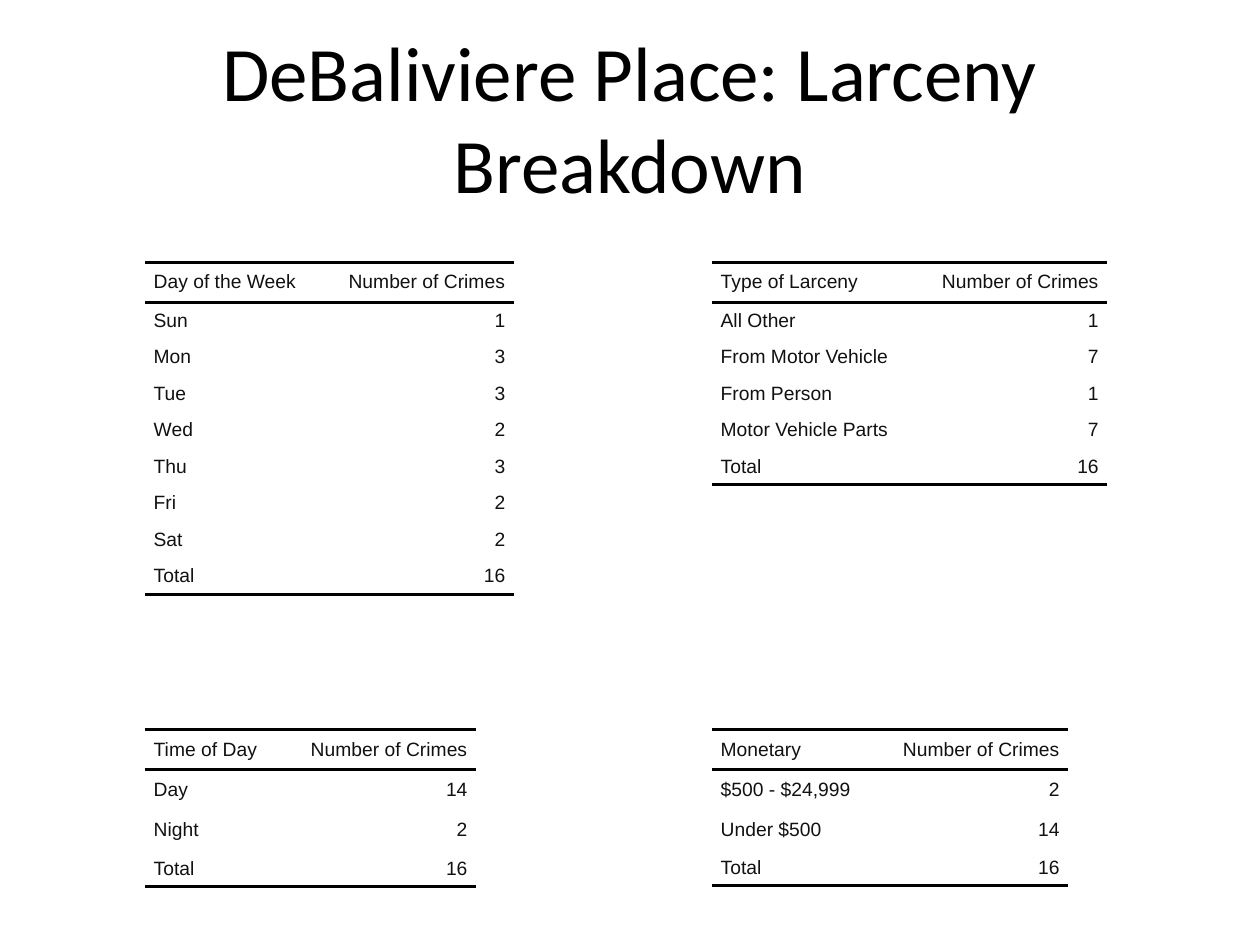
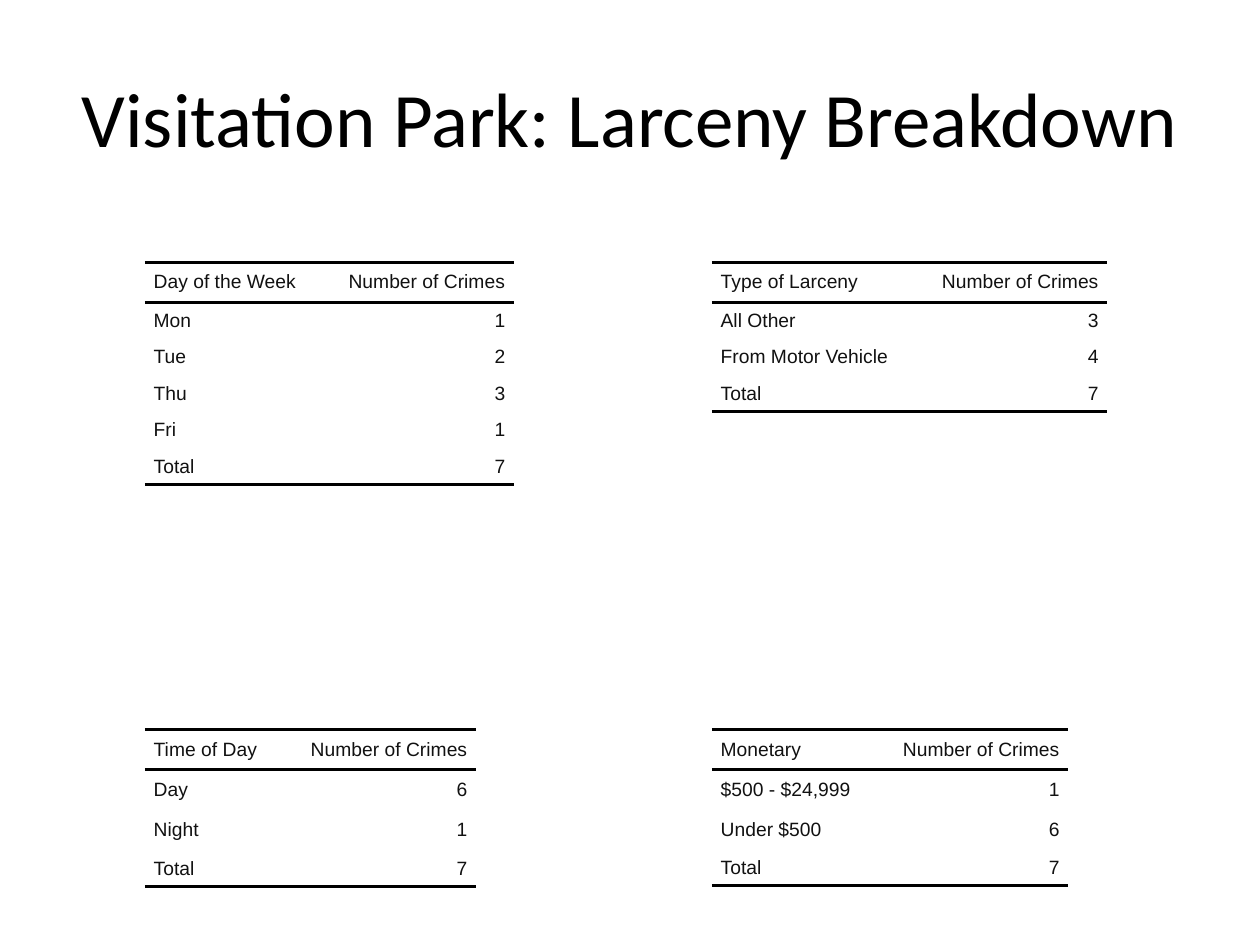
from pptx import Presentation
from pptx.dml.color import RGBColor
from pptx.enum.text import MSO_ANCHOR, MSO_AUTO_SIZE, PP_ALIGN
from pptx.oxml import parse_xml
from pptx.oxml.ns import nsdecls
from pptx.util import Inches, Pt

HUES = {"rule": "000000", "title": "000000", "text": "111111"}
WIDE, HIGH = Inches(10), Inches(7.5)
COLS, ROWS = 1000, 750
PLAIN = "{2D5ABB26-0587-4C30-8999-92F81FD0307C}"

HEAD = 32
LINE = 29
COUNT = 152
LEFT, RIGHT = 115, 565
UPPER, LOWER = 208, 579
TITLE = (50, 30, 900, 125)

FRAME = {"word_wrap": True, "auto_size": MSO_AUTO_SIZE.NONE,
         "vertical_anchor": MSO_ANCHOR.MIDDLE}
CELL = {"margin_left": Inches(0.07), "margin_right": Inches(0.07),
        "margin_top": 0, "margin_bottom": 0,
        "vertical_anchor": MSO_ANCHOR.MIDDLE}
BIG = {"name": "Calibri", "size": Pt(44)}
SMALL = {"name": "Arial", "size": Pt(11)}

PARTS = [
    ("Day of the Week", LEFT, UPPER, 141, None),
    ("Time of Day", LEFT, LOWER, 111, [32, 32]),
    ("Type of Larceny", RIGHT, UPPER, 162, None),
    ("Monetary", RIGHT, LOWER, 131, [32, 31]),
]

PAGES = {
    "DeBaliviere Place: Larceny Breakdown": {
        "Day of the Week": {"Sun": 1, "Mon": 3, "Tue": 3, "Wed": 2,
                            "Thu": 3, "Fri": 2, "Sat": 2},
        "Time of Day": {"Day": 14, "Night": 2},
        "Type of Larceny": {"All Other": 1, "From Motor Vehicle": 7,
                            "From Person": 1, "Motor Vehicle Parts": 7},
        "Monetary": {"$500 - $24,999": 2, "Under $500": 14},
    },
    "Visitation Park: Larceny Breakdown": {
        "Day of the Week": {"Mon": 1, "Tue": 2, "Thu": 3, "Fri": 1},
        "Time of Day": {"Day": 6, "Night": 1},
        "Type of Larceny": {"All Other": 3, "From Motor Vehicle": 4},
        "Monetary": {"$500 - $24,999": 1, "Under $500": 6},
    },
}


def across(n):
    return round(WIDE * n / COLS)


def down(n):
    return round(HIGH * n / ROWS)


def apply(item, looks):
    for key, value in looks.items():
        setattr(item, key, value)


def style(para, looks, hue, align):
    apply(para.font, looks)
    para.font.color.rgb = RGBColor.from_string(HUES[hue])
    para.alignment = align


def rule(cell, sides):
    props = cell._tc.get_or_add_tcPr()
    for spot, side in enumerate(sides):
        props.insert(spot, parse_xml(
            f'<a:ln{side} {nsdecls("a")} w="{Pt(2)}"><a:solidFill>'
            f'<a:srgbClr val="{HUES["rule"]}"/></a:solidFill></a:ln{side}>'))


def add_title(slide, text, box):
    shape = slide.shapes.title
    x, y, w, h = box
    apply(shape, {"left": across(x), "top": down(y),
                  "width": across(w), "height": down(h)})
    shape.text_frame.text = text
    apply(shape.text_frame, FRAME)
    style(shape.text_frame.paragraphs[0], BIG, "title", PP_ALIGN.CENTER)


def add_tally(slide, name, counts, x, y, label, inner):
    lines = [(name, "Number of Crimes"), *counts.items(),
             ("Total", sum(counts.values()))]
    widths = [label, COUNT]
    heights = [HEAD, *(inner or [LINE] * len(counts)), LINE]
    frame = slide.shapes.add_table(
        len(lines), 2, across(x), down(y),
        across(sum(widths)), down(sum(heights)))
    frame.element.xpath(".//a:tableStyleId")[0].text = PLAIN
    table = frame.table
    apply(table, {"first_row": False, "horz_banding": False})
    for col, width in zip(table.columns, widths):
        col.width = across(width)
    rules = {0: "TB", len(lines) - 1: "B"}
    for r, (line, height) in enumerate(zip(lines, heights)):
        table.rows[r].height = down(height)
        for c, (value, align) in enumerate(
                zip(line, (PP_ALIGN.LEFT, PP_ALIGN.RIGHT))):
            cell = table.cell(r, c)
            cell.text = str(value)
            apply(cell, CELL)
            cell.fill.background()
            rule(cell, rules.get(r, ""))
            style(cell.text_frame.paragraphs[0], SMALL, "text", align)


def add_page(deck, title, data):
    slide = deck.slides.add_slide(deck.slide_layouts[5])
    add_title(slide, title, TITLE)
    for name, x, y, label, inner in PARTS:
        add_tally(slide, name, data[name], x, y, label, inner)


def main():
    deck = Presentation()
    apply(deck, {"slide_width": WIDE, "slide_height": HIGH})
    for title, data in PAGES.items():
        add_page(deck, title, data)
    deck.save("out.pptx")


if __name__ == "__main__":
    main()
